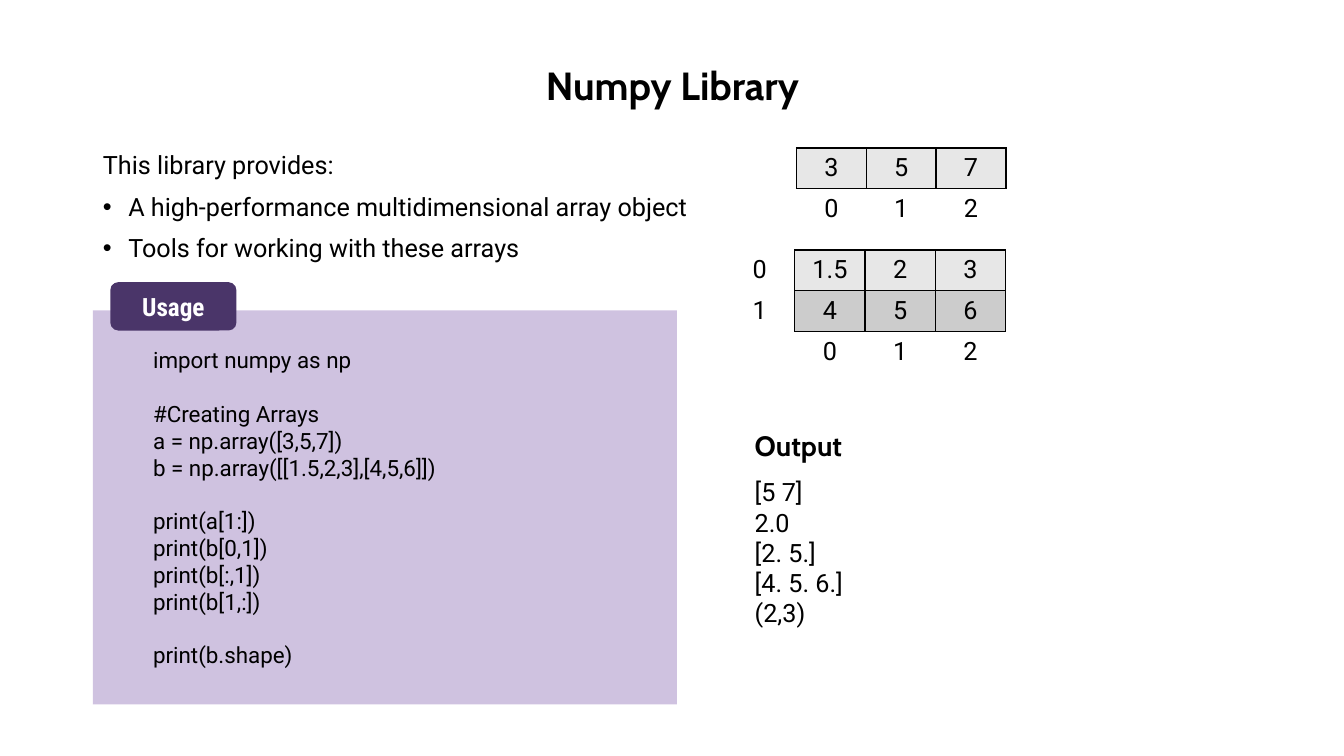
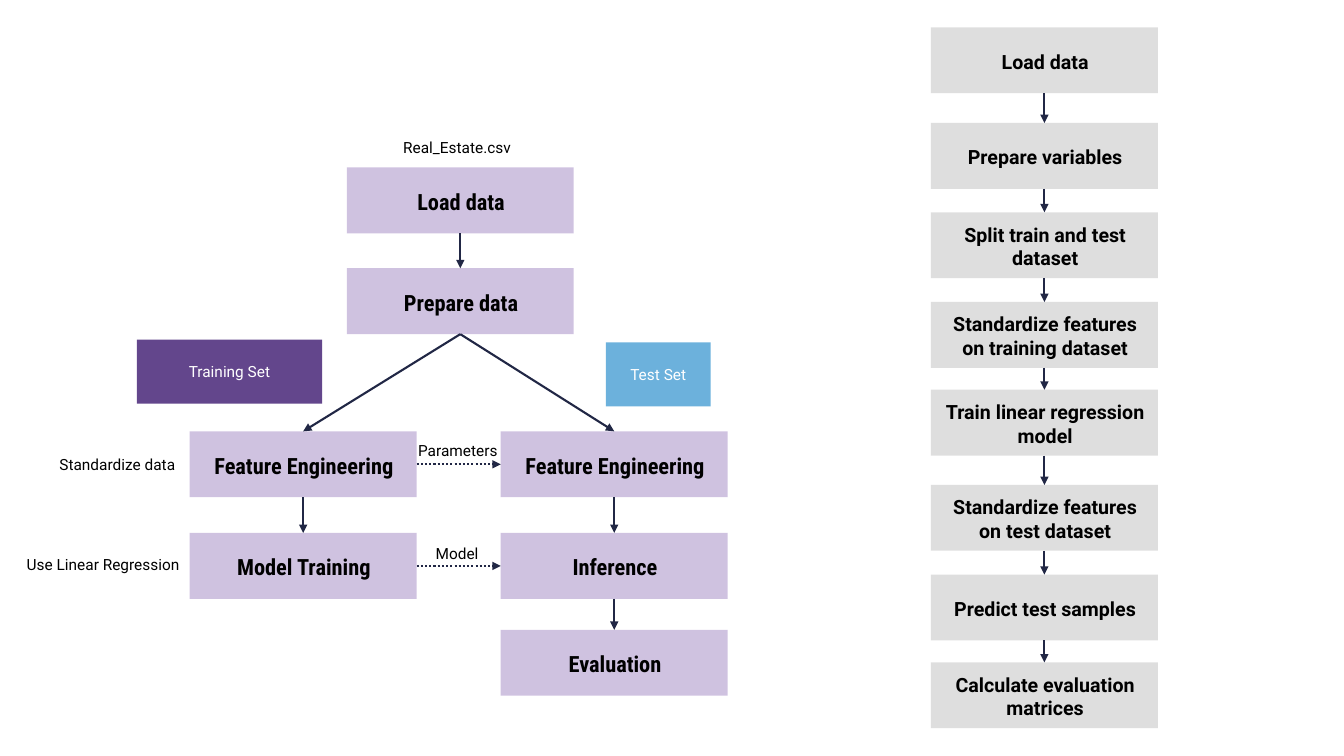
from lxml.etree import SubElement
from pptx import Presentation
from pptx.dml.color import RGBColor as Rgb
from pptx.enum.dml import MSO_LINE as Dash
from pptx.enum.shapes import MSO_CONNECTOR as Wire, MSO_SHAPE as Kind
from pptx.enum.text import MSO_ANCHOR as Anchor, MSO_AUTO_SIZE as Fit, PP_ALIGN as Align
from pptx.oxml.ns import qn
from pptx.util import Cm, Pt

HUES = {
    "black": "000000", "white": "FFFFFF", "navy": "212745",
    "lilac": "A087C3", "plum": "4A3569", "violet": "63468C",
    "sky": "6CB1DC", "grey": "BFBFBF", "pale": "E7E7E7", "dim": "CCCCCC",
}
HEAD, BODY, SLIM = "Cabin", "Roboto", "Roboto Condensed"
BLANK = "{2D5ABB26-0587-4C30-8999-92F81FD0307C}"
STEP_W, STEP_H = 5.72, 1.66


def hue(name):
    return Rgb.from_string(HUES[name])


def style(para, size, face=BODY, color="black", bold=False, align=Align.LEFT):
    para.alignment = align
    font = para.font
    font.size, font.name, font.bold = Pt(size), face, bold
    font.color.rgb = hue(color)


def write(frame, lines, size, **look):
    frame.word_wrap = True
    frame.text = "\n".join(lines)
    for para in frame.paragraphs:
        style(para, size, **look)


def inset(frame, left, top, right, bottom):
    frame.margin_left, frame.margin_top = Cm(left), Cm(top)
    frame.margin_right, frame.margin_bottom = Cm(right), Cm(bottom)


def place(shape, x, y, w, h):
    shape.left, shape.top, shape.width, shape.height = Cm(x), Cm(y), Cm(w), Cm(h)


def block(slide, x, y, w, h, fill, kind=Kind.RECTANGLE, clear=False):
    shape = slide.shapes.add_shape(kind, Cm(x), Cm(y), Cm(w), Cm(h))
    shape.shadow.inherit = False
    shape.fill.solid()
    shape.fill.fore_color.rgb = hue(fill)
    if clear:
        tint = shape.element.spPr.find(f".//{qn('a:srgbClr')}")
        SubElement(tint, qn("a:alpha"), val="50000")
    shape.line.fill.background()
    shape.text_frame.vertical_anchor = Anchor.MIDDLE
    return shape


def label(slide, x, y, w, h, lines, size, **look):
    frame = slide.shapes.add_textbox(Cm(x), Cm(y), Cm(w), Cm(h)).text_frame
    write(frame, lines, size, **look)
    return frame


def step(slide, x, y, text, fill, size, face):
    shape = block(slide, x, y, STEP_W, STEP_H, fill, clear=True)
    write(shape.text_frame, [text], size, face=face, bold=True, align=Align.CENTER)
    inset(shape.text_frame, 0.27, 0.15, 0.23, 0.1)
    return shape


def arrow(slide, start, end, out=2, into=0, dash=None):
    link = slide.shapes.add_connector(Wire.STRAIGHT, 0, 0, 0, 0)
    link.begin_connect(start, out)
    link.end_connect(end, into)
    link.line.color.rgb = hue("navy")
    link.line.width = Pt(1.5)
    if dash:
        link.line.dash_style = dash
    props = link.element.spPr
    SubElement(props.find(qn("a:ln")), qn("a:tailEnd"), type="triangle")
    SubElement(props, qn("a:effectLst"))


def edge(cell, side):
    line = SubElement(cell, qn(f"a:ln{side}"), w=str(Pt(1)))
    fill = SubElement(line, qn("a:solidFill"))
    SubElement(fill, qn("a:srgbClr"), val=HUES["black"])


def matrix(slide, x, y, col, row, texts, fills):
    rows, cols = len(texts), len(texts[0])
    item = slide.shapes.add_table(rows, cols, Cm(x), Cm(y), Cm(col * cols), Cm(row * rows))
    next(item.element.iter(qn("a:tableStyleId"))).text = BLANK
    table = item.table
    table.first_row = table.horz_banding = False
    for line in table.rows:
        line.height = Cm(row)
    sides = {"L": (0, -1), "R": (0, 1), "T": (-1, 0), "B": (1, 0)}
    shades = {(r, c): fill for r, line in enumerate(fills)
              for c, fill in enumerate(line) if fill}
    for r in range(rows):
        for c in range(cols):
            cell = table.cell(r, c)
            write(cell.text_frame, [texts[r][c]], 18, align=Align.CENTER)
            props = cell._tc.get_or_add_tcPr()
            for side, (down, over) in sides.items():
                if (r, c) in shades or (r + down, c + over) in shades:
                    edge(props, side)
            if (r, c) in shades:
                cell.fill.solid()
                cell.fill.fore_color.rgb = hue(shades[r, c])
            else:
                cell.fill.background()


def title(slide, x, y, w, h, text):
    shape = slide.shapes.title
    place(shape, x, y, w, h)
    write(shape.text_frame, [text], 28, face=HEAD, bold=True, align=Align.CENTER)
    shape.text_frame.auto_size = Fit.NONE
    shape.text_frame.vertical_anchor = Anchor.MIDDLE
    shape.text_frame.paragraphs[0].line_spacing = 0.9


def intro(slide, x, y, w, h, lead, points):
    shape = slide.placeholders[1]
    place(shape, x, y, w, h)
    frame = shape.text_frame
    frame.auto_size = Fit.NONE
    frame.text = "\n".join([lead, *points])
    for i, para in enumerate(frame.paragraphs):
        props = para._p.get_or_add_pPr()
        dent = Cm(0.64) if i else 0
        props.set("marL", str(dent))
        props.set("indent", str(-dent))
        para.line_spacing = 0.9
        para.space_before = Pt(10 if i else 0)
        if i:
            SubElement(props, qn("a:buChar"), char="•")
        else:
            SubElement(props, qn("a:buNone"))
        style(para, 18)


def usage(slide, x, y, w, h, name, parts):
    panel = block(slide, x, y + 0.71, w, h - 0.71, "lilac", clear=True)
    frame = panel.text_frame
    write(frame, [line for part in parts for line in part], 16)
    inset(frame, 0.25, 0.25, 0.25, 0.25)
    for para in frame.paragraphs:
        para.level = 1
    first = 0
    for part in parts[:-1]:
        first += len(part)
        frame.paragraphs[first].space_before = Pt(19)
    tab = block(slide, x + 0.44, y, 3.18, 1.22, "plum", Kind.ROUNDED_RECTANGLE)
    write(tab.text_frame, [name], 18, face=SLIM, color="white", bold=True,
          align=Align.CENTER)


def result(slide, x, y, w, h, name, lines):
    top = label(slide, x, y, w, 0.91, [name], 20, face=HEAD, bold=True)
    top.vertical_anchor = Anchor.MIDDLE
    text = label(slide, x, y + 0.99, w, h - 0.99, lines, 18)
    inset(text, 0.25, 0.25, 0.25, 0.25)


def tree(slide, x, y):
    left, mid, right = (x + n for n in (4.78, 8.74, 12.62))
    rows = [y + n for n in (0.87, 3.41, 7.52, 10.08, 12.52)]

    def node(col, row, text):
        return step(slide, col, rows[row], text, "lilac", 16, SLIM)

    load, prep = node(mid, 0, "Load data"), node(mid, 1, "Prepare data")
    fit, test = (node(col, 2, "Feature Engineering") for col in (left, right))
    train, infer = node(left, 3, "Model Training"), node(right, 3, "Inference")
    score = node(right, 4, "Evaluation")
    for start, end in ((load, prep), (prep, fit), (prep, test),
                       (fit, train), (test, infer), (infer, score)):
        arrow(slide, start, end)
    for start, end in ((fit, test), (train, infer)):
        arrow(slide, start, end, 3, 1, Dash.ROUND_DOT)

    for over, down, wide, text, fill in (
            (3.45, 5.21, 4.67, "Training Set", "violet"),
            (15.27, 5.28, 2.64, "Test Set", "sky")):
        tag = block(slide, x + over, y + down, wide, 1.61, fill)
        write(tag.text_frame, [text], 11, color="white", align=Align.CENTER)
    for over, down, wide, text, align in (
            (9.52, 7.65, 4.04, "Parameters", Align.CENTER),
            (9.5, 10.24, 4.04, "Model", Align.CENTER),
            (9.5, 0, 4.04, "Real_Estate.csv", Align.CENTER),
            (0, 8, 4.67, "Standardize data", Align.RIGHT),
            (0, 10.52, 4.78, "Use Linear Regression", Align.RIGHT)):
        label(slide, x + over, y + down, wide, 0.74, [text], 11, align=align)


def chain(slide, x, y, steps):
    last = None
    for down, text in steps:
        node = step(slide, x, y + down, text, "grey", 14, BODY)
        if last:
            arrow(slide, last, node)
        last = node


def main():
    deck = Presentation()
    deck.slide_width, deck.slide_height = Cm(33.87), Cm(19.05)

    slide = deck.slides.add_slide(deck.slide_layouts[1])
    title(slide, 2.34, 1.02, 29.21, 2.36, "Numpy Library")
    intro(slide, 2.34, 3.73, 29.21, 3.38, "This library provides:", [
        "A high-performance multidimensional array object",
        "Tools for working with these arrays",
    ])
    usage(slide, 2.34, 7.11, 14.72, 10.64, "Usage", [
        ["import numpy as np"],
        ["#Creating Arrays", "a = np.array([3,5,7])",
         "b = np.array([[1.5,2,3],[4,5,6]])"],
        ["print(a[1:])", "print(b[0,1])", "print(b[:,1])", "print(b[1,:])"],
        ["print(b.shape)"],
    ])
    matrix(slide, 20.07, 3.73, 1.76, 1.03, ["357", "012"], [["pale"] * 3])
    matrix(slide, 18.26, 6.3, 1.77, 1.03,
           [["0", "1.5", "2", "3"], ["1", "4", "5", "6"], ["", "0", "1", "2"]],
           [[None] + ["pale"] * 3, [None] + ["dim"] * 3])
    result(slide, 18.77, 10.77, 9.96, 5.28, "Output",
           ["[5 7]", "2.0", "[2. 5.]", "[4. 5. 6.]", "(2,3)"])

    slide = deck.slides.add_slide(deck.slide_layouts[6])
    tree(slide, 0, 3.35)
    chain(slide, 23.46, 0.69, [
        (0, "Load data"),
        (2.41, "Prepare variables"),
        (4.66, "Split train and test dataset"),
        (6.92, "Standardize features on training dataset"),
        (9.13, "Train linear regression model"),
        (11.53, "Standardize features on test dataset"),
        (13.79, "Predict test samples"),
        (16, "Calculate evaluation matrices"),
    ])
    deck.save("out.pptx")


if __name__ == "__main__":
    main()
